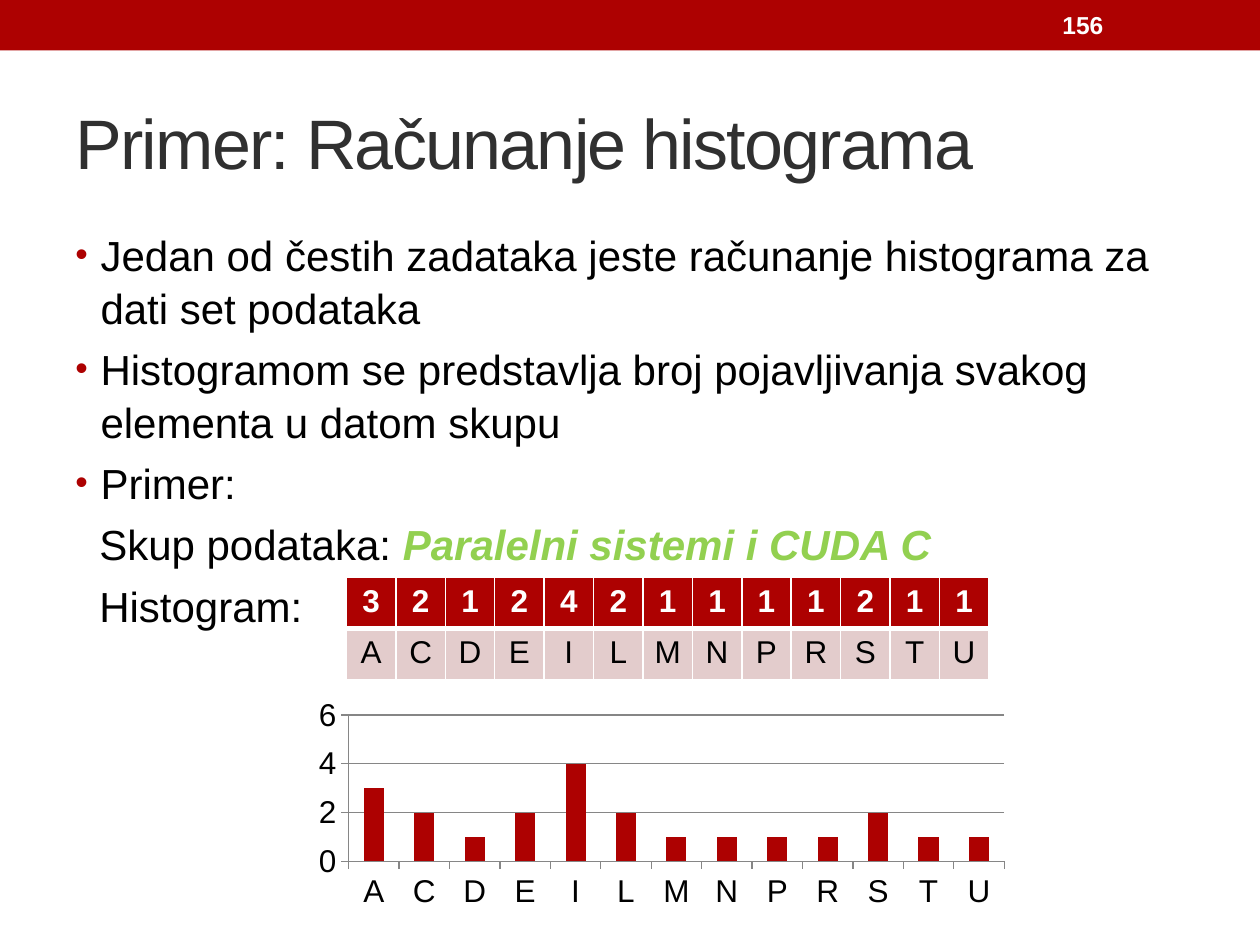
from lxml import etree
from pptx import Presentation
from pptx.chart.data import CategoryChartData
from pptx.dml.color import RGBColor
from pptx.enum.chart import XL_CHART_TYPE, XL_TICK_MARK
from pptx.enum.shapes import MSO_SHAPE
from pptx.enum.text import MSO_ANCHOR, PP_ALIGN
from pptx.oxml.ns import qn
from pptx.util import Inches, Pt

COLUMN_CLUSTERED = XL_CHART_TYPE.COLUMN_CLUSTERED
OUTSIDE = XL_TICK_MARK.OUTSIDE
RECTANGLE = MSO_SHAPE.RECTANGLE
TOP, MIDDLE = MSO_ANCHOR.TOP, MSO_ANCHOR.MIDDLE
CENTER = PP_ALIGN.CENTER

RED = RGBColor(0xAD, 0x01, 0x01)
PINK = RGBColor(0xE3, 0xCC, 0xCC)
GREEN = RGBColor(0x92, 0xD0, 0x50)
DARK = RGBColor(0x30, 0x30, 0x30)
GRAY = RGBColor(0x86, 0x86, 0x86)
BLACK = RGBColor(0, 0, 0)
WHITE = RGBColor(0xFF, 0xFF, 0xFF)
FONT = "Arial"

presentation = Presentation()
presentation.slide_width = Inches(10)
presentation.slide_height = Inches(7.5)
COLUMN = presentation.slide_width // 120
ROW = presentation.slide_height // 90
slide = presentation.slides.add_slide(presentation.slide_layouts[6])


def add_text_frame(left, top, width, height, anchor):
    box = slide.shapes.add_textbox(left * COLUMN, top * ROW, width * COLUMN, height * ROW)
    box.text_frame.word_wrap = True
    box.text_frame.vertical_anchor = anchor
    return box.text_frame


def add_run(paragraph, text, size, color, bold=False, italic=False):
    run = paragraph.add_run()
    run.text = text
    run.font.name = FONT
    run.font.size = Pt(size)
    run.font.color.rgb = color
    run.font.bold = bold
    run.font.italic = italic
    return run


banner = slide.shapes.add_shape(RECTANGLE, 0, 0, presentation.slide_width, int(4.8 * ROW))
banner.shadow.inherit = False
banner.fill.solid()
banner.fill.fore_color.rgb = RED
banner.line.fill.background()

title_frame = add_text_frame(6, 7, 108, 13, MIDDLE)
title_run = add_run(title_frame.paragraphs[0], "Primer: Računanje histograma", 40, DARK)
title_run._r.get_or_add_rPr().set("spc", "-100")

body_lines = [
    (True, "Jedan od čestih zadataka jeste računanje histograma za dati set podataka", ""),
    (True, "Histogramom se predstavlja broj pojavljivanja svakog elementa u datom skupu", ""),
    (True, "Primer:", ""),
    (False, "Skup podataka: ", "Paralelni sistemi i CUDA C"),
    (False, "Histogram:", ""),
]
body_frame = add_text_frame(6, 21, 108, 64, TOP)
for index, (bulleted, text, highlight) in enumerate(body_lines):
    paragraph = body_frame.paragraphs[0] if index == 0 else body_frame.add_paragraph()
    paragraph.line_spacing = 1.05
    if index:
        paragraph.space_before = Pt(4.8)
    properties = paragraph._p.get_or_add_pPr()
    properties.set("marL", str(Inches(0.2 if bulleted else 0.19)))
    properties.set("indent", str(Inches(-0.2 if bulleted else 0)))
    if bulleted:
        bullet_color = etree.SubElement(properties, qn("a:buClr"))
        etree.SubElement(bullet_color, qn("a:srgbClr"), val=str(RED))
        etree.SubElement(properties, qn("a:buSzPct"), val="85000")
        etree.SubElement(properties, qn("a:buFont"), typeface=FONT)
        etree.SubElement(properties, qn("a:buChar"), char="•")
    add_run(paragraph, text, 24, BLACK)
    if highlight:
        add_run(paragraph, highlight, 24, GREEN, bold=True, italic=True)

letters = list("ACDEILMNPRSTU")
counts = [3, 2, 1, 2, 4, 2, 1, 1, 1, 1, 2, 1, 1]

table_width, table_height = int(61.2 * COLUMN), int(9.72 * ROW)
table = slide.shapes.add_table(
    2, len(letters), 33 * COLUMN, 55 * ROW, table_width, table_height
).table
table_rows = [(counts, RED, WHITE, True), (letters, PINK, BLACK, False)]
for row_index, (values, fill_color, text_color, bold) in enumerate(table_rows):
    for column_index, value in enumerate(values):
        cell = table.cell(row_index, column_index)
        cell.margin_left = cell.margin_right = Inches(0.05)
        paragraph = cell.text_frame.paragraphs[0]
        paragraph.alignment = CENTER
        add_run(paragraph, str(value), 18, text_color, bold)
        cell_properties = cell._tc.get_or_add_tcPr()
        for side in ("L", "R", "T", "B"):
            thick = (row_index, side) in ((0, "B"), (1, "T"))
            border = etree.SubElement(
                cell_properties, qn(f"a:ln{side}"), w=str(Pt(3 if thick else 1))
            )
            border_fill = etree.SubElement(border, qn("a:solidFill"))
            etree.SubElement(border_fill, qn("a:srgbClr"), val=str(WHITE))
        cell.fill.solid()
        cell.fill.fore_color.rgb = fill_color

chart_data = CategoryChartData()
chart_data.categories = letters
chart_data.add_series("Series 1", counts)
chart = slide.shapes.add_chart(
    COLUMN_CLUSTERED, 29 * COLUMN, 66 * ROW, 68 * COLUMN, 21 * ROW, chart_data
).chart
chart.has_legend = False
chart.has_title = False
chart.font.name = FONT
chart.font.size = Pt(18)
chart.font.color.rgb = BLACK
plot = chart.plots[0]
plot.gap_width = 150
plot.vary_by_categories = False
plot.series[0].format.fill.solid()
plot.series[0].format.fill.fore_color.rgb = RED
for axis in (chart.category_axis, chart.value_axis):
    axis.major_tick_mark = OUTSIDE
    axis.format.line.color.rgb = GRAY
    axis.format.line.width = Pt(0.75)
chart.value_axis.minimum_scale = 0
chart.value_axis.maximum_scale = 6
chart.value_axis.major_unit = 2
chart.value_axis.has_major_gridlines = True
chart.value_axis.major_gridlines.format.line.color.rgb = GRAY
chart.value_axis.major_gridlines.format.line.width = Pt(0.75)

number_frame = add_text_frame(100, 0.24, 14, 4.32, MIDDLE)
add_run(number_frame.paragraphs[0], "156", 14, WHITE, bold=True)

presentation.save("out.pptx")
